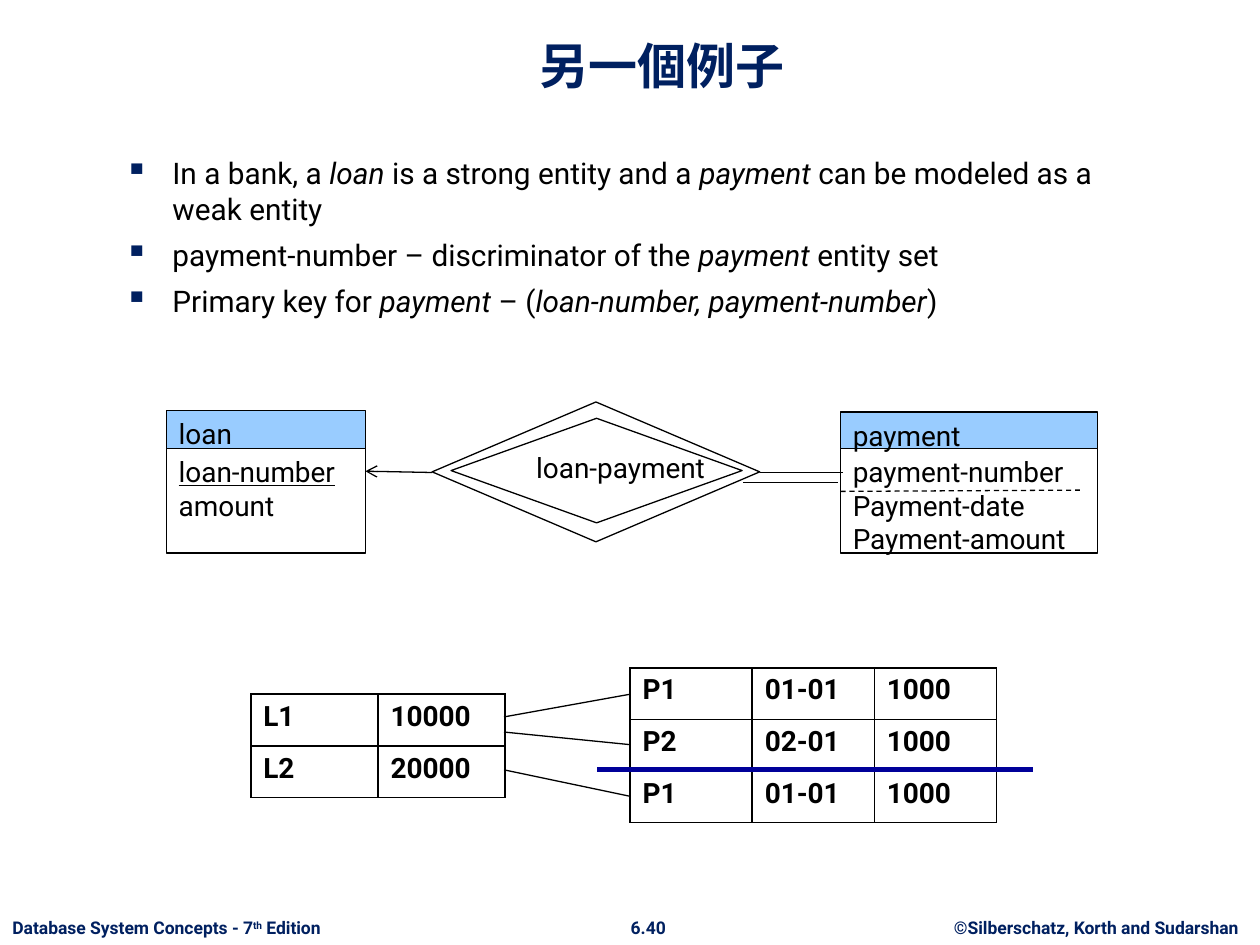
import pptx
import pptx.util
import pptx.dml.color
import pptx.enum.dml
import pptx.enum.shapes
import pptx.enum.text
import pptx.oxml
import pptx.oxml.ns

FONT, NAVY, BLACK, WHITE, SKY = "Roboto", "002060", "000000", "FFFFFF", "99CCFF"
SHAPE = pptx.enum.shapes.MSO_SHAPE
ALIGN = pptx.enum.text.PP_ALIGN
ANCHOR = pptx.enum.text.MSO_ANCHOR

# Content: a paragraph is a list of runs, a run is (text, style)
# style letters: i italic, u underline, b bold, ^ superscript
TITLE = "另一個例子"
POINTS = [
    [("In a bank, a ", ""), ("loan", "i"), (" is a strong entity and a ", ""),
     ("payment ", "i"), ("can be modeled as a weak entity", "")],
    [("payment-number – discriminator of the ", ""), ("payment ", "i"),
     ("entity set", "")],
    [("Primary key for ", ""), ("payment ", "i"), ("– (", ""),
     ("loan-number, payment-number", "i"), (")", "")],
]
# left, width, runs, alignment
FOOT = [
    (0, 2.81, [("Database System Concepts - 7", "b"), ("th", "b^"),
               (" Edition", "b")], ALIGN.LEFT),
    (4.9, 0.49, [("6.40", "b")], ALIGN.CENTER),
    (7.4, 2.6, [("©Silberschatz, Korth and Sudarshan", "b")], ALIGN.CENTER),
]
# left, top, width, head height, name, fields
SETS = [
    (1.32, 3.26, 1.58, 0.3, "loan", [("loan-number", "u"), ("amount", "")]),
    (6.67, 3.27, 2.04, 0.29, "payment",
     [("payment-number", ""), ("Payment-date", ""), ("Payment-amount", "")]),
]
# left, top, column width, rows
GRIDS = [
    (1.99, 5.51, 1.01, [("L1", "10000"), ("L2", "20000")]),
    (5, 5.3, 0.97, [("P1", "01-01", "1000"), ("P2", "02-01", "1000"),
                    ("P1", "01-01", "1000")]),
]
# from x, from y, to x, to y
ROLES = [(6.03, 3.75, 6.69, 3.75), (5.9, 3.83, 6.65, 3.83)]
LINKS = [(4, 5.69, 5, 5.51), (4, 5.81, 5, 5.91), (4, 6.11, 5, 6.32)]
BODY_H, ROW_H = 0.83, 0.41


def inch(*nums):
    return [pptx.util.Inches(n) for n in nums]


def hue(code):
    return pptx.dml.color.RGBColor.from_string(code)


def add_node(root, tag, **attrs):
    node = pptx.oxml.ns.qn(tag)
    node = root.makeelement(node, attrs)
    root.append(node)
    return node


def write(frame, paras, size, color=BLACK, align=ALIGN.LEFT,
          anchor=ANCHOR.TOP, wrap=False):
    frame.word_wrap = wrap
    frame.vertical_anchor = anchor
    for i, runs in enumerate(paras):
        para = frame.paragraphs[0] if i == 0 else frame.add_paragraph()
        para.alignment = align
        for text, style in runs:
            run = para.add_run()
            run.text = text
            font = run.font
            font.name, font.size = FONT, pptx.util.Pt(size)
            font.color.rgb = hue(color)
            font.bold, font.italic = "b" in style, "i" in style
            font.underline = "u" in style
            if "^" in style:
                run._r.get_or_add_rPr().set("baseline", "30000")


def add_form(kind, box, fill=WHITE, paras=()):
    form = slide.shapes.add_shape(kind, *inch(*box))
    form.shadow.inherit = False
    form.fill.solid()
    form.fill.fore_color.rgb = hue(fill)
    form.line.color.rgb = hue(BLACK)
    form.line.width = pptx.util.Pt(0.75)
    write(form.text_frame, paras, 16)


def add_line(ends, color=BLACK, width=0.75, dash=False, arrow=False):
    line = slide.shapes.add_connector(
        pptx.enum.shapes.MSO_CONNECTOR.STRAIGHT, *inch(*ends))
    line.line.color.rgb = hue(color)
    line.line.width = pptx.util.Pt(width)
    if dash:
        line.line.dash_style = pptx.enum.dml.MSO_LINE.DASH
    if arrow:
        add_node(line.line._get_or_add_ln(), "a:tailEnd", type="arrow")
    add_node(line._element.spPr, "a:effectLst")


def add_grid(left, top, col_w, rows):
    count = len(rows[0])
    table = slide.shapes.add_table(
        len(rows), count,
        *inch(left, top, col_w * count, ROW_H * len(rows))).table
    for col in table.columns:
        col.width = pptx.util.Inches(col_w)
    for r, row in enumerate(rows):
        table.rows[r].height = pptx.util.Inches(ROW_H)
        for c, text in enumerate(row):
            cell = table.cell(r, c)
            write(cell.text_frame, [[(text, "b")]], 16, wrap=True)
            props = cell._tc.get_or_add_tcPr()
            for side in ("a:lnL", "a:lnR", "a:lnT", "a:lnB"):
                edge = add_node(props, side, w="12700")
                paint = add_node(edge, "a:solidFill")
                add_node(paint, "a:srgbClr", val=BLACK)
            cell.fill.solid()
            cell.fill.fore_color.rgb = hue(WHITE)


deck = pptx.Presentation()
deck.slide_width, deck.slide_height = inch(10, 7.5)
slide = deck.slides.add_slide(deck.slide_layouts[5])

# Title
title = slide.shapes.title
title.left, title.top, title.width, title.height = inch(0.84, 0.13, 8.83, 0.67)
write(title.text_frame, [[(TITLE, "b")]], 28, NAVY, ALIGN.CENTER,
      ANCHOR.BOTTOM, True)

# Footer
for left, width, runs, align in FOOT:
    box = slide.shapes.add_textbox(*inch(left, 7.23, width, 0.27))
    write(box.text_frame, [runs], 10, NAVY, align, ANCHOR.MIDDLE)

# Bullet points
body = slide.shapes.add_textbox(*inch(0.89, 1.18, 8.38, 1.79)).text_frame
write(body, POINTS, 17, wrap=True)
for para in body.paragraphs:
    para.space_before = pptx.util.Pt(6)
    props = para._p.get_or_add_pPr()
    indent = pptx.util.Inches(0.38)
    props.set("marL", str(indent))
    props.set("indent", str(-indent))
    add_node(add_node(props, "a:buClr"), "a:srgbClr", val=NAVY)
    add_node(props, "a:buSzPct", val="110000")
    add_node(props, "a:buChar", char="▪")

# Entity sets and the double diamond between them
add_form(SHAPE.DIAMOND, (3.43, 3.19, 2.6, 1.11))
for left, top, width, head, name, fields in SETS:
    add_form(SHAPE.RECTANGLE, (left, top + head, width, BODY_H),
             paras=[[field] for field in fields])
    add_form(SHAPE.RECTANGLE, (left, top, width, head), SKY, [[(name, "")]])
add_line((6.67, 3.9, 8.57, 3.89), dash=True)
add_form(SHAPE.DIAMOND, (3.58, 3.32, 2.31, 0.83),
         paras=[[("loan-payment", "")]])
for ends in ROLES:
    add_line(ends)
add_line((3.43, 3.75, 2.9, 3.74), arrow=True)

# Sample rows and their links
for grid in GRIDS:
    add_grid(*grid)
for ends in LINKS:
    add_line(ends)
add_line((4.74, 6.11, 8.2, 6.11), "000099", 3)

deck.save("out.pptx")
